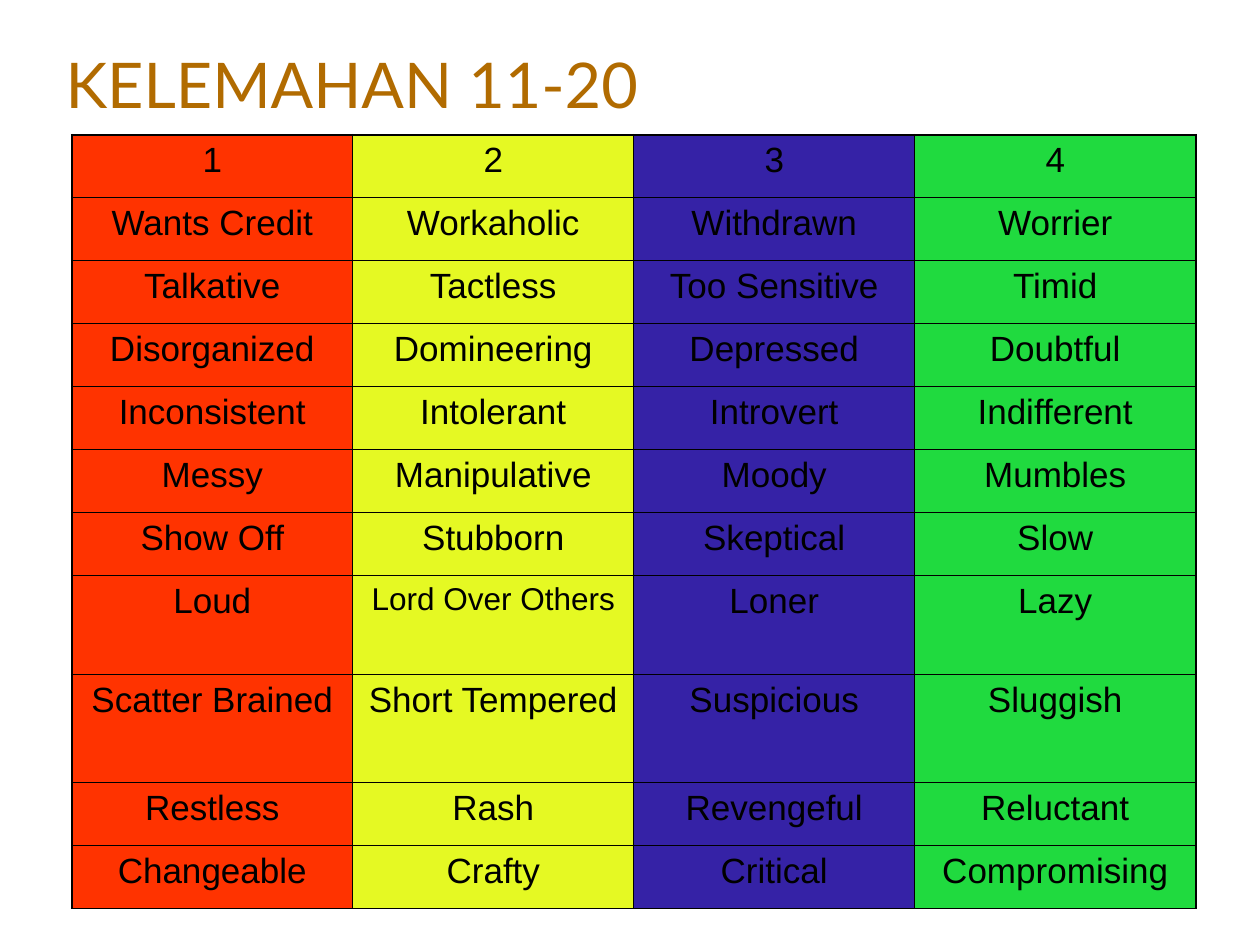
import lxml.etree
import pptx
import pptx.dml.color
import pptx.enum.text
import pptx.oxml
import pptx.oxml.ns
import pptx.util

Inches, Pt = pptx.util.Inches, pptx.util.Pt
RGB = pptx.dml.color.RGBColor.from_string
THEME = {
    "title": {"font": "Lato", "size": 36, "color": "B16B00"},
    "cell": {"font": "Arial", "size": 20, "color": "000000"},
    "small": {"font": "Arial", "size": 18, "color": "000000"},
    "columns": ["FF3300", "E5F923", "3522A6", "20DA3F"],
    "border": "000000",
    "inner": 0.45,
    "outer": 1.08,
}
TRAITS = [
    ["1", "2", "3", "4"],
    ["Wants Credit", "Workaholic", "Withdrawn", "Worrier"],
    ["Talkative", "Tactless", "Too Sensitive", "Timid"],
    ["Disorganized", "Domineering", "Depressed", "Doubtful"],
    ["Inconsistent", "Intolerant", "Introvert", "Indifferent"],
    ["Messy", "Manipulative", "Moody", "Mumbles"],
    ["Show Off", "Stubborn", "Skeptical", "Slow"],
    ["Loud", "Lord Over Others", "Loner", "Lazy"],
    ["Scatter Brained", "Short Tempered", "Suspicious", "Sluggish"],
    ["Restless", "Rash", "Revengeful", "Reluctant"],
    ["Changeable", "Crafty", "Critical", "Compromising"],
]
COLUMN, ROW = 2.23, 0.5
TALL_ROWS = {7: 0.78, 8: 0.86}


def add_span(para, text, style):
    span = para.add_run()
    span.text = text
    span.font.name = style["font"]
    span.font.size = Pt(style["size"])
    span.font.color.rgb = RGB(style["color"])
    return span


def add_border(cell, side, width):
    """Draw one cell edge; side is L, R, T or B, called in that order before the fill."""
    properties = cell._tc.get_or_add_tcPr()
    properties.append(pptx.oxml.parse_xml(
        f'<a:ln{side} {pptx.oxml.ns.nsdecls("a")} w="{Pt(width)}">'
        f'<a:solidFill><a:srgbClr val="{THEME["border"]}"/></a:solidFill></a:ln{side}>'))


deck = pptx.Presentation()
deck.slide_width, deck.slide_height = Inches(10), Inches(7.5)
page = deck.slides.add_slide(deck.slide_layouts[5])

# Title with a soft-edged text shadow
title = page.shapes.title
title.left, title.top = Inches(0.42), Inches(0.33)
title.width, title.height = Inches(9.17), Inches(0.67)
frame = title.text_frame
frame.auto_size = pptx.enum.text.MSO_AUTO_SIZE.NONE
frame.word_wrap = True
frame.vertical_anchor = pptx.enum.text.MSO_ANCHOR.MIDDLE
para = frame.paragraphs[0]
para.alignment = pptx.enum.text.PP_ALIGN.LEFT
span = add_span(para, "KELEMAHAN 11-20", THEME["title"])
fill = span.font._element.find(pptx.oxml.ns.qn("a:solidFill"))
fill.addnext(pptx.oxml.parse_xml(
    f'<a:effectLst {pptx.oxml.ns.nsdecls("a")}><a:outerShdw dist="17961" dir="2700000">'
    '<a:srgbClr val="000000"/></a:outerShdw></a:effectLst>'))

# Trait table: one colour per column, heavier outer frame
row_count, column_count = len(TRAITS), len(THEME["columns"])
heights = [TALL_ROWS.get(index, ROW) for index in range(row_count)]
table = page.shapes.add_table(
    row_count, column_count, Inches(0.57), Inches(1.07),
    Inches(COLUMN * column_count), Inches(sum(heights))).table
table.first_row = table.horz_banding = False
for column in table.columns:
    column.width = Inches(COLUMN)
for row, height in zip(table.rows, heights):
    row.height = Inches(height)

for r, traits in enumerate(TRAITS):
    for c, trait in enumerate(traits):
        cell = table.cell(r, c)
        on_frame = {"L": c == 0, "R": c == column_count - 1,
                    "T": r == 0, "B": r == row_count - 1}
        for side, outer in on_frame.items():
            add_border(cell, side, THEME["outer" if outer else "inner"])
        cell.fill.solid()
        cell.fill.fore_color.rgb = RGB(THEME["columns"][c])
        para = cell.text_frame.paragraphs[0]
        para.alignment = pptx.enum.text.PP_ALIGN.CENTER
        style = "small" if trait == "Lord Over Others" else "cell"
        add_span(para, trait, THEME[style])

deck.save("out.pptx")
